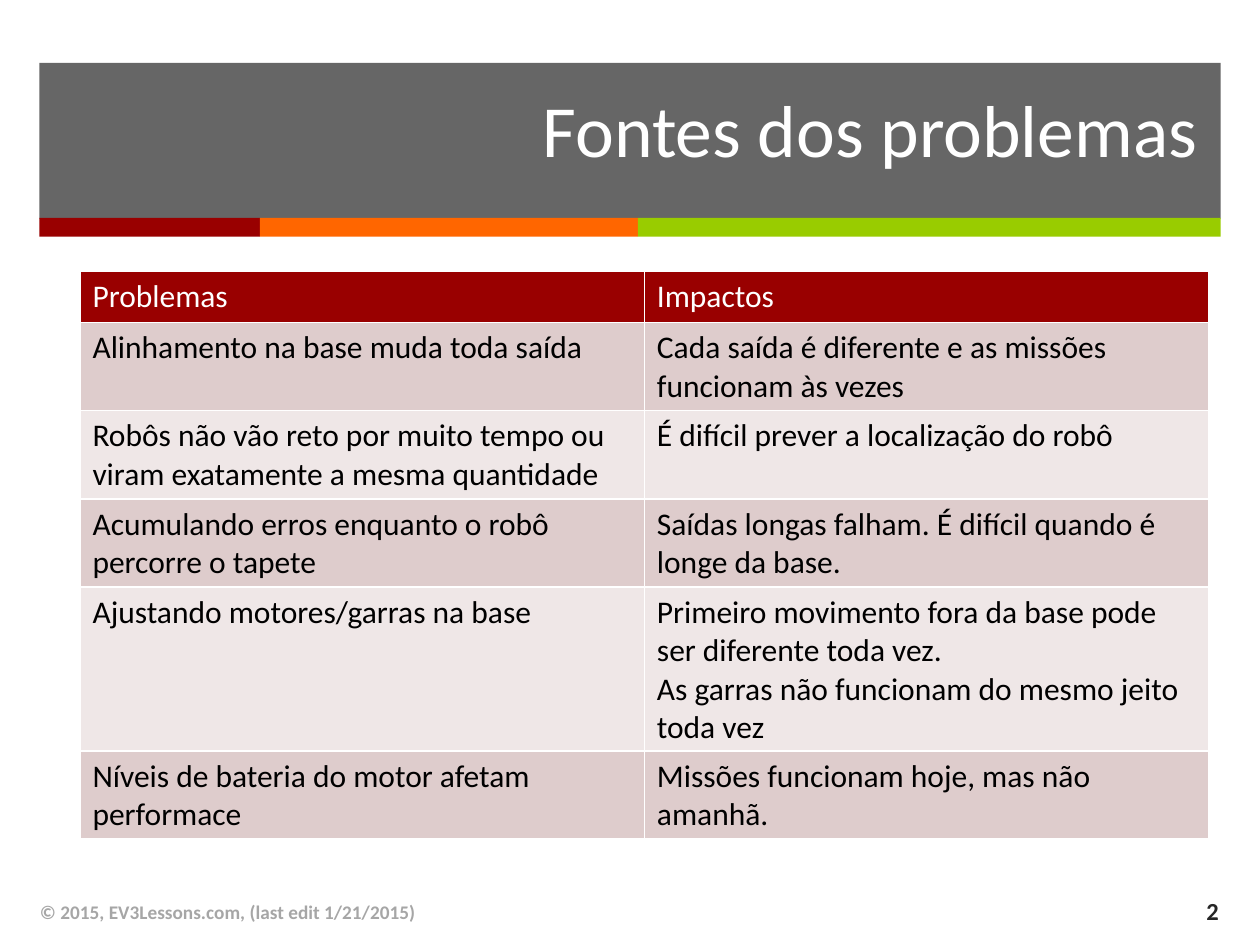
from lxml import etree
from pptx import Presentation, util as u
from pptx.dml.color import RGBColor
from pptx.enum import shapes, text
from pptx.oxml import ns

TITLE = "Fontes dos problemas"
FOOTER = "© 2015, EV3Lessons.com, (last edit 1/21/2015)"
PAGE_NUMBER = "2"
ROWS = [
    ("Problemas", "Impactos"),
    ("Alinhamento na base muda toda saída",
     "Cada saída é diferente e as missões funcionam às vezes"),
    ("Robôs não vão reto por muito tempo ou viram exatamente a mesma quantidade",
     "É difícil prever a localização do robô"),
    ("Acumulando erros enquanto o robô percorre o tapete",
     "Saídas longas falham. É difícil quando é longe da base."),
    ("Ajustando motores/garras na base",
     "Primeiro movimento fora da base pode ser diferente toda vez.\n"
     "As garras não funcionam do mesmo jeito toda vez"),
    ("Níveis de bateria do motor afetam performace",
     "Missões funcionam hoje, mas não amanhã."),
]

THEME = {
    "font": "Calibri",
    "white": "FFFFFF", "black": "000000", "dark": "262626", "muted": "A6A6A6",
    "header": "990000", "bands": ("DECCCC", "EFE7E7"),
    "title_size": 42, "table_size": 18, "footer_size": 11, "number_size": 14,
}
BANNER = (22.5, 36, 675, 89)
BANNER_OPACITY = 70
STRIPES = [(126, "990000"), (216, "FF6600"), (333, "99CC00")]
STRIPE_TOP, STRIPE_HEIGHT = 124.5, 10.8
TABLE = (45.7, 155, 645, 175.2)
RIGHT = text.PP_ALIGN.RIGHT
LEFT = text.PP_ALIGN.LEFT


def points(values):
    return [u.Pt(value) for value in values]


def add_bar(page, place, color):
    bar = page.shapes.add_shape(shapes.MSO_SHAPE.RECTANGLE, *points(place))
    bar.shadow.inherit = False
    bar.fill.solid()
    bar.fill.fore_color.rgb = RGBColor.from_string(color)
    bar.line.fill.background()
    return bar


def set_opacity(shape, percent):
    color = shape.fill._xPr.find(".//" + ns.qn("a:srgbClr"))
    etree.SubElement(color, ns.qn("a:alpha"), val=str(percent * 1000))


def write(frame, content, size, color, bold=False, align=LEFT):
    frame.text = content
    style = {"name": THEME["font"], "size": u.Pt(size), "bold": bold}
    for para in frame.paragraphs:
        para.alignment = align
        for span in para.runs:
            for name, value in style.items():
                setattr(span.font, name, value)
            span.font.color.rgb = RGBColor.from_string(color)


def add_label(page, place, content, size, color, bold=False, align=LEFT):
    frame = page.shapes.add_textbox(*points(place)).text_frame
    frame.word_wrap = True
    frame.vertical_anchor = text.MSO_ANCHOR.MIDDLE
    write(frame, content, size, color, bold, align)


def add_borders(cell, color, width=1):
    properties = cell._tc.get_or_add_tcPr()
    for side in ("lnL", "lnR", "lnT", "lnB"):
        line = etree.SubElement(properties, ns.qn(f"a:{side}"), w=str(u.Pt(width)))
        fill = etree.SubElement(line, ns.qn("a:solidFill"))
        etree.SubElement(fill, ns.qn("a:srgbClr"), val=color)


def add_problem_table(page):
    grid = page.shapes.add_table(len(ROWS), len(ROWS[0]), *points(TABLE)).table
    for row, contents in enumerate(ROWS):
        is_header = row == 0
        fill = THEME["header"] if is_header else THEME["bands"][(row - 1) % 2]
        ink = THEME["white"] if is_header else THEME["black"]
        for column, content in enumerate(contents):
            cell = grid.cell(row, column)
            add_borders(cell, THEME["white"])
            cell.fill.solid()
            cell.fill.fore_color.rgb = RGBColor.from_string(fill)
            write(cell.text_frame, content, THEME["table_size"], ink)


def main():
    deck = Presentation()
    deck.slide_width, deck.slide_height = points((720, 540))
    page = deck.slides.add_slide(deck.slide_layouts[6])

    set_opacity(add_bar(page, BANNER, THEME["dark"]), BANNER_OPACITY)
    left = BANNER[0]
    for width, color in STRIPES:
        add_bar(page, (left, STRIPE_TOP, width, STRIPE_HEIGHT), color)
        left += width

    add_label(page, (171.4, 41, 519.8, 64.8), TITLE,
              THEME["title_size"], THEME["white"], align=RIGHT)
    add_problem_table(page)
    add_label(page, (15.8, 506.9, 482.4, 28.8), FOOTER,
              THEME["footer_size"], THEME["muted"], bold=True)
    add_label(page, (653.8, 506.2, 49.7, 28.1), PAGE_NUMBER,
              THEME["number_size"], THEME["dark"], bold=True, align=RIGHT)
    deck.save("out.pptx")


if __name__ == "__main__":
    main()
